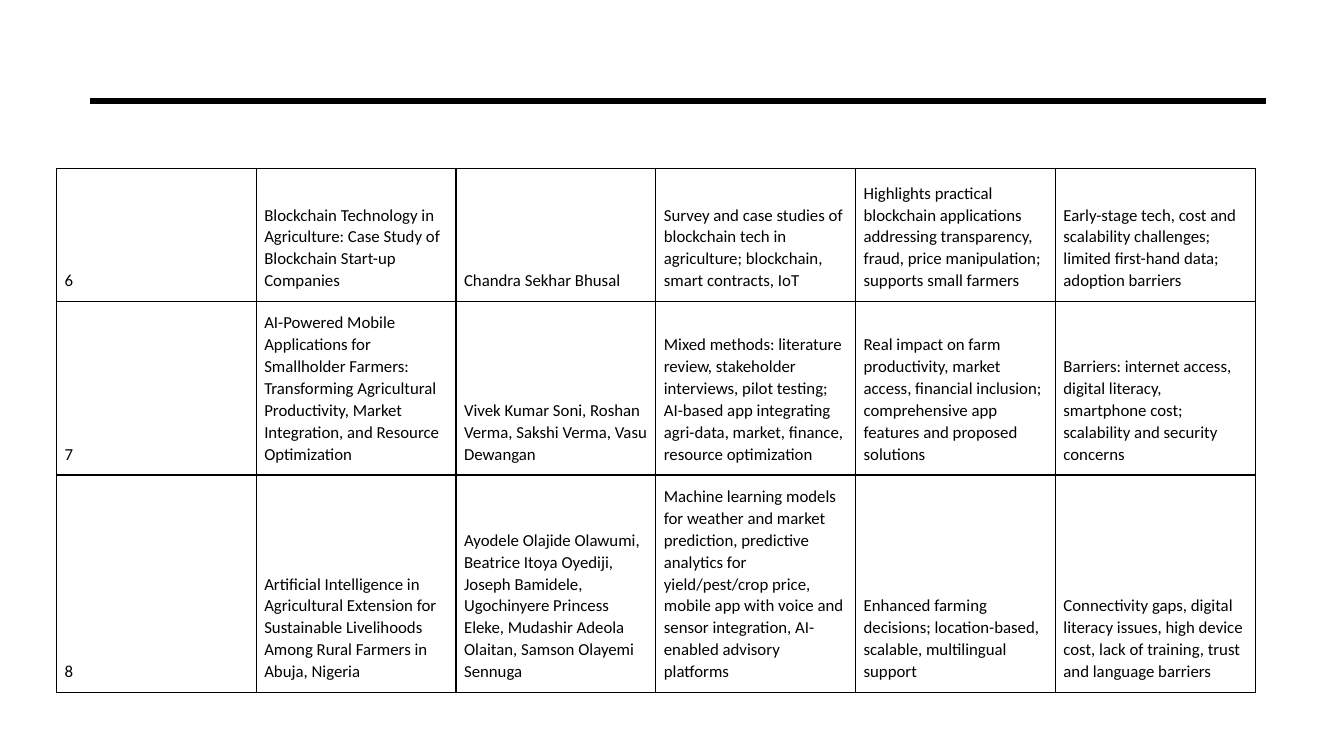
from dataclasses import dataclass

from lxml.etree import SubElement
from pptx import Presentation
from pptx.dml.color import RGBColor
from pptx.enum.shapes import MSO_CONNECTOR as Connector
from pptx.enum.text import MSO_ANCHOR as Anchor
from pptx.oxml.ns import qn
from pptx.util import Inches, Pt

BLACK = RGBColor(0x00, 0x00, 0x00)
FONT = "Calibri"
TABLE_LEFT, TABLE_TOP, TABLE_WIDTH = 0.56, 1.67, 11.89


@dataclass
class Study:
    height: float
    number: str
    title: str
    authors: str
    methods: str
    strengths: str
    limits: str

    def texts(self) -> list[str]:
        return [self.number, self.title, self.authors,
                self.methods, self.strengths, self.limits]


STUDIES = [
    Study(
        1.32, "6",
        "Blockchain Technology in Agriculture: Case Study of Blockchain Start-up Companies",
        "Chandra Sekhar Bhusal",
        "Survey and case studies of blockchain tech in agriculture; blockchain, "
        "smart contracts, IoT",
        "Highlights practical blockchain applications addressing transparency, fraud, "
        "price manipulation; supports small farmers",
        "Early-stage tech, cost and scalability challenges; limited first-hand data; "
        "adoption barriers",
    ),
    Study(
        1.59, "7",
        "AI-Powered Mobile Applications for Smallholder Farmers: Transforming Agricultural "
        "Productivity, Market Integration, and Resource Optimization",
        "Vivek Kumar Soni, Roshan Verma, Sakshi Verma, Vasu Dewangan",
        "Mixed methods: literature review, stakeholder interviews, pilot testing; AI-based "
        "app integrating agri-data, market, finance, resource optimization",
        "Real impact on farm productivity, market access, financial inclusion; "
        "comprehensive app features and proposed solutions",
        "Barriers: internet access, digital literacy, smartphone cost; scalability and "
        "security concerns",
    ),
    Study(
        1.99, "8",
        "Artificial Intelligence in Agricultural Extension for Sustainable Livelihoods "
        "Among Rural Farmers in Abuja, Nigeria",
        "Ayodele Olajide Olawumi, Beatrice Itoya Oyediji, Joseph Bamidele, Ugochinyere "
        "Princess Eleke, Mudashir Adeola Olaitan, Samson Olayemi Sennuga",
        "Machine learning models for weather and market prediction, predictive analytics "
        "for yield/pest/crop price, mobile app with voice and sensor integration, "
        "AI-enabled advisory platforms",
        "Enhanced farming decisions; location-based, scalable, multilingual support",
        "Connectivity gaps, digital literacy issues, high device cost, lack of training, "
        "trust and language barriers",
    ),
]


def add_borders(cell) -> None:
    properties = cell._tc.get_or_add_tcPr()
    for side in ("lnL", "lnR", "lnT", "lnB"):
        line = SubElement(properties, qn(f"a:{side}"), w=str(Pt(1)))
        fill = SubElement(line, qn("a:solidFill"))
        SubElement(fill, qn("a:srgbClr"), val=str(BLACK))


def fill_cell(cell, text: str) -> None:
    add_borders(cell)
    cell.fill.background()
    cell.vertical_anchor = Anchor.BOTTOM
    cell.margin_left = cell.margin_right = Inches(0.08)
    cell.margin_top = cell.margin_bottom = Inches(0.1)
    cell.text_frame.text = text
    para = cell.text_frame.paragraphs[0]
    para.line_spacing = 1.07
    para.space_after = Pt(8)
    span = para.runs[0]
    span.font.name = FONT
    span.font.size = Pt(12)
    span.font.color.rgb = BLACK


def add_rule(page) -> None:
    rule = page.shapes.add_connector(
        Connector.STRAIGHT, Inches(0.89), Inches(1), Inches(12.56), Inches(1))
    rule.line.color.rgb = BLACK
    rule.line.width = Pt(4.5)
    SubElement(rule._element.spPr, qn("a:effectLst"))


def add_studies(page, studies: list[Study]) -> None:
    column_count = len(studies[0].texts())
    table = page.shapes.add_table(
        len(studies), column_count, Inches(TABLE_LEFT), Inches(TABLE_TOP),
        Inches(TABLE_WIDTH), Inches(sum(study.height for study in studies))).table
    table.first_row = table.horz_banding = False
    for column in table.columns:
        column.width = Inches(TABLE_WIDTH / column_count)
    for row, study in zip(table.rows, studies):
        row.height = Inches(study.height)
        for cell, text in zip(row.cells, study.texts()):
            fill_cell(cell, text)


def main() -> None:
    deck = Presentation()
    deck.slide_width, deck.slide_height = Inches(13.33), Inches(7.5)
    page = deck.slides.add_slide(deck.slide_layouts[6])

    # Heading rule
    add_rule(page)

    # Literature table
    add_studies(page, STUDIES)

    deck.save("out.pptx")


if __name__ == "__main__":
    main()
